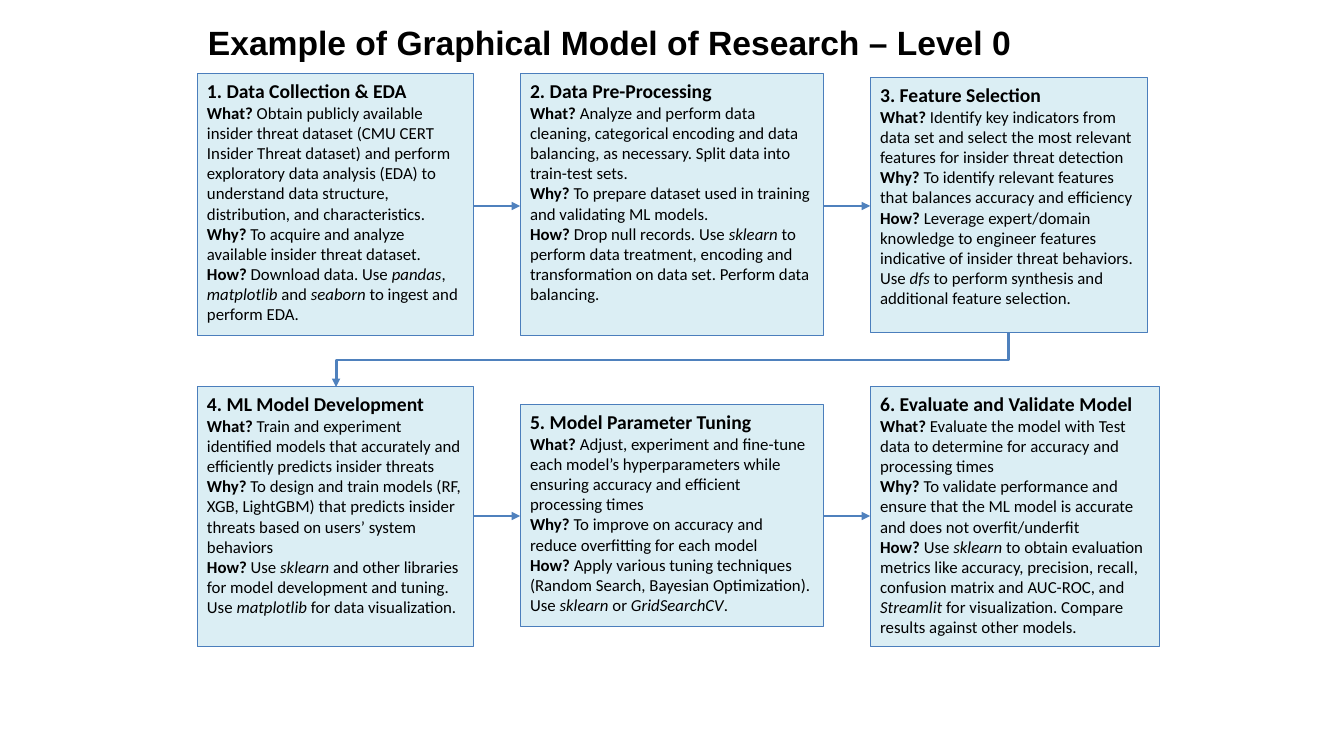
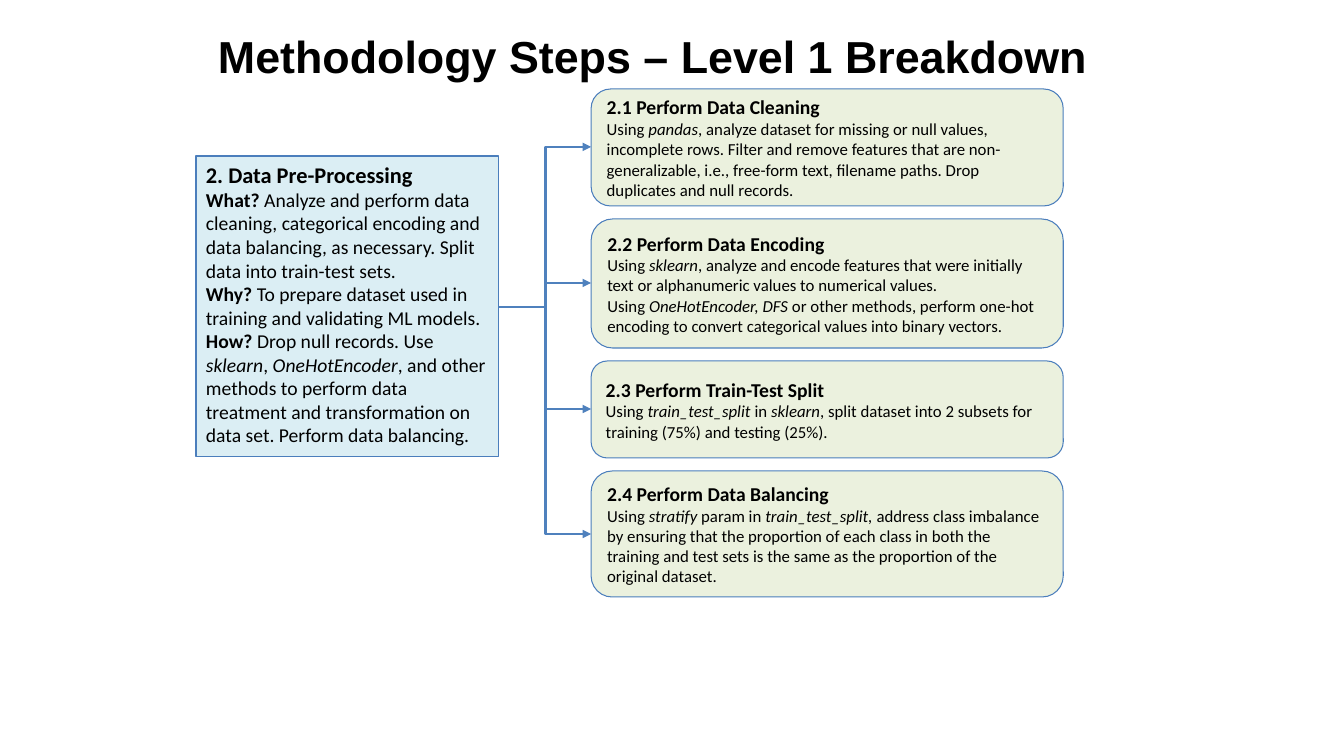
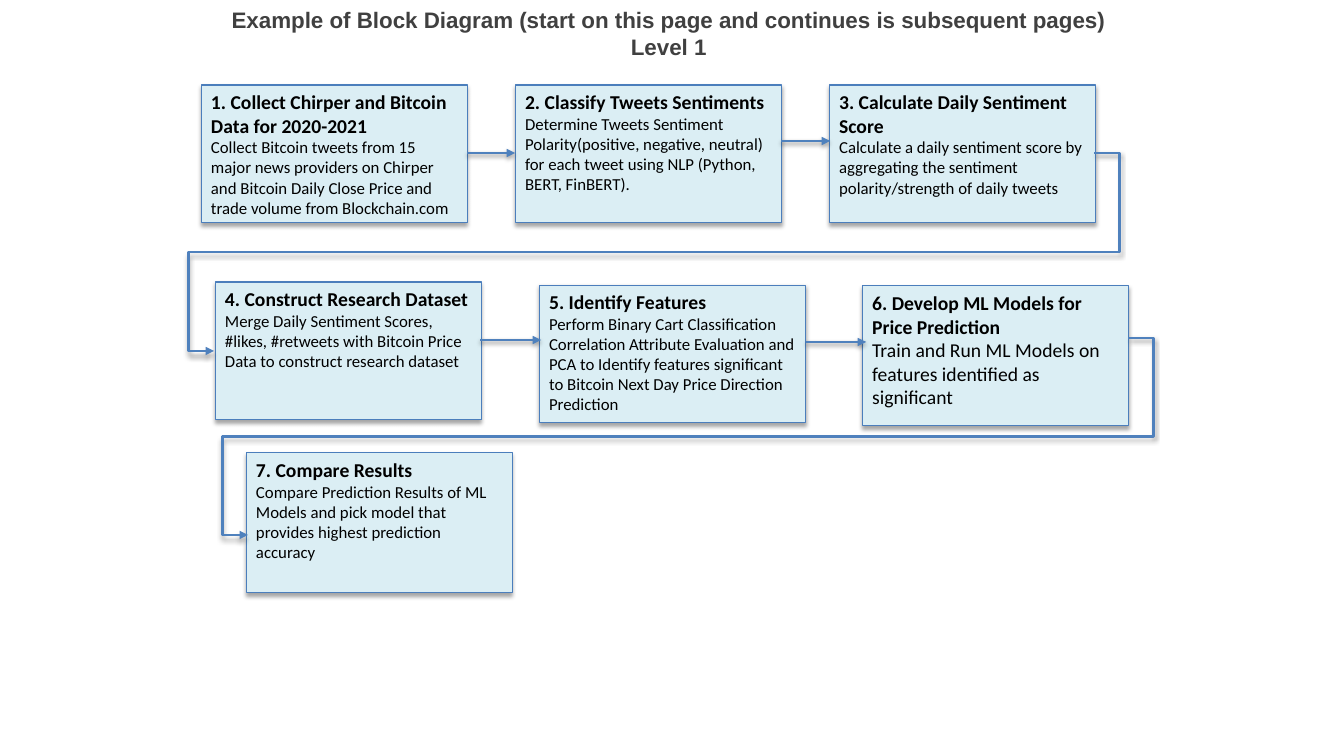
from lxml import etree
from pptx import Presentation, util as u
from pptx.dml.color import RGBColor
from pptx.enum import shapes, text
from pptx.oxml.ns import qn

PX = 914400 / 100.8
COLORS = {"ink": "000000", "heading": "404040", "step": "DBEEF4", "substep": "EBF1DE",
          "border": "4B7EBC", "arrow": "4F81BD", "shadow": "000000"}
RECT = shapes.MSO_SHAPE.RECTANGLE
ROUNDED = shapes.MSO_SHAPE.ROUNDED_RECTANGLE
STRAIGHT = shapes.MSO_CONNECTOR.STRAIGHT
ELBOW = shapes.MSO_CONNECTOR.ELBOW
LEFT, CENTER = text.PP_ALIGN.LEFT, text.PP_ALIGN.CENTER
TOP, MIDDLE = text.MSO_ANCHOR.TOP, text.MSO_ANCHOR.MIDDLE


def add_box(page, place, lines, sizes=(14, 12), kind=RECT, fill="step", anchor=TOP):
    """Draw a box: a bold heading, then lines with a bold question and *italic* words."""
    box = page.shapes.add_shape(kind, *[round(n * PX) for n in place])
    box.shadow.inherit = False
    box.fill.solid()
    box.fill.fore_color.rgb = RGBColor.from_string(COLORS[fill])
    box.line.color.rgb = RGBColor.from_string(COLORS["border"])
    box.line.width = u.Pt(0.75)
    frame = box.text_frame
    frame.word_wrap = True
    frame.vertical_anchor = anchor
    for number, line in enumerate(lines):
        para = frame.add_paragraph() if number else frame.paragraphs[0]
        para.alignment = LEFT
        para.font.name = "Calibri"
        para.font.size = u.Pt(sizes[1] if number else sizes[0])
        para.font.bold = number == 0
        para.font.color.rgb = RGBColor.from_string(COLORS["ink"])
        question, mark, answer = line.rpartition("? ")
        if mark:
            span = para.add_run()
            span.text = question + mark
            span.font.bold = True
        for part, words in enumerate(answer.split("*")):
            if words:
                span = para.add_run()
                span.text = words
                if part % 2:
                    span.font.italic = True


def add_arrow(page, ends, kind=STRAIGHT):
    arrow = page.shapes.add_connector(kind, *[round(n * PX) for n in ends])
    arrow.line.color.rgb = RGBColor.from_string(COLORS["arrow"])
    arrow.line.width = u.Pt(2)
    frame = arrow._element.spPr
    etree.SubElement(frame.find(qn("a:ln")), qn("a:tailEnd"), type="triangle")
    etree.SubElement(frame, qn("a:effectLst"))
    return arrow


deck = Presentation()
deck.slide_width, deck.slide_height = u.Inches(13.33), u.Inches(7.5)

titles = [
    ("Example of Graphical Model of Research – Level 0",
     (198, 13, 855, 37), 24, "ink", LEFT, 9),
    ("Methodology Steps – Level 1 Breakdown",
     (208, 20, 950, 54), 32, "ink", LEFT, 9),
    ("Example of Block Diagram (start on this page and continues is subsequent pages)\vLevel 1",
     (179, 0, 979, 90), 16, "heading", CENTER, 6),
]
pages = []
for words, place, size, color, alignment, inset in titles:
    page = deck.slides.add_slide(deck.slide_layouts[6])
    title = page.shapes.add_textbox(*[round(n * PX) for n in place])
    title.text_frame.word_wrap = True
    title.text_frame.margin_top = round(inset * PX)
    para = title.text_frame.paragraphs[0]
    para.text = words
    para.alignment = alignment
    para.font.name = "Arial"
    para.font.size = u.Pt(size)
    para.font.bold = True
    para.font.color.rgb = RGBColor.from_string(COLORS[color])
    pages.append(page)
research, breakdown, blocks = pages

# Level 0: six research steps
research_steps = [
    ((197, 74, 276, 262), [
        "1. Data Collection & EDA",
        "What? Obtain publicly available insider threat dataset (CMU CERT Insider Threat dataset) "
        "and perform exploratory data analysis (EDA) to understand data structure, distribution, "
        "and characteristics.",
        "Why? To acquire and analyze available insider threat dataset.",
        "How? Download data. Use *pandas*, *matplotlib* and *seaborn* to ingest and perform EDA."]),
    ((520, 74, 303, 262), [
        "2. Data Pre-Processing",
        "What? Analyze and perform data cleaning, categorical encoding and data balancing, "
        "as necessary. Split data into train-test sets.",
        "Why? To prepare dataset used in training and validating ML models.",
        "How? Drop null records. Use *sklearn* to perform data treatment, encoding and "
        "transformation on data set. Perform data balancing."]),
    ((870, 78, 277, 255), [
        "3. Feature Selection",
        "What? Identify key indicators from data set and select the most relevant features "
        "for insider threat detection",
        "Why? To identify relevant features that balances accuracy and efficiency",
        "How? Leverage expert/domain knowledge to engineer features indicative of insider threat "
        "behaviors. Use *dfs* to perform synthesis and additional feature selection."]),
    ((197, 387, 276, 260), [
        "4. ML Model Development",
        "What? Train and experiment identified models that accurately and efficiently predicts "
        "insider threats",
        "Why? To design and train models (RF, XGB, LightGBM) that predicts insider threats "
        "based on users’ system behaviors",
        "How? Use *sklearn* and other libraries for model development and tuning. "
        "Use *matplotlib* for data visualization."]),
    ((520, 405, 303, 222), [
        "5. Model Parameter Tuning",
        "What? Adjust, experiment and fine-tune each model’s hyperparameters while ensuring "
        "accuracy and efficient processing times",
        "Why? To improve on accuracy and reduce overfitting for each model",
        "How? Apply various tuning techniques (Random Search, Bayesian Optimization). "
        "Use *sklearn* or *GridSearchCV*."]),
    ((870, 387, 289, 260), [
        "6. Evaluate and Validate Model",
        "What? Evaluate the model with Test data to determine for accuracy and processing times",
        "Why? To validate performance and ensure that the ML model is accurate and does not "
        "overfit/underfit",
        "How? Use *sklearn* to obtain evaluation metrics like accuracy, precision, recall, "
        "confusion matrix and AUC-ROC, and *Streamlit* for visualization. "
        "Compare results against other models."]),
]
for place, lines in research_steps:
    add_box(research, place, lines)
for y in (206, 516):
    for start, end in ((474, 520), (824, 870)):
        add_arrow(research, (start, y, end, y))
# A quarter turn makes the elbow leave step 3 downwards: (1008, 333) to (336, 387)
row_change = add_arrow(research, (645, 24, 699, 696), ELBOW)
row_change._element.spPr.find(qn("a:xfrm")).set("rot", "5400000")

# Level 1: one step and its substeps
add_box(breakdown, (196, 156, 302, 301), [
    "2. Data Pre-Processing",
    "What? Analyze and perform data cleaning, categorical encoding and data balancing, "
    "as necessary. Split data into train-test sets.",
    "Why? To prepare dataset used in training and validating ML models.",
    "How? Drop null records. Use *sklearn*, *OneHotEncoder*, and other methods to perform data "
    "treatment and transformation on data set. Perform data balancing."], sizes=(16, 14))
substeps = [
    (117, [
        "2.1 Perform Data Cleaning",
        "Using *pandas*, analyze dataset for missing or null values, incomplete rows. Filter and "
        "remove features that are non-generalizable, i.e., free-form text, filename paths. "
        "Drop duplicates and null records."]),
    (129, [
        "2.2 Perform Data Encoding",
        "Using *sklearn*, analyze and encode features that were initially text or alphanumeric "
        "values to numerical values.",
        "Using *OneHotEncoder, DFS *or other methods, perform one-hot encoding to convert "
        "categorical values into binary vectors."]),
    (97, [
        "2.3 Perform Train-Test Split",
        "Using *train_test_split* in *sklearn*, split dataset into 2 subsets for training (75%) "
        "and testing (25%)."]),
    (126, [
        "2.4 Perform Data Balancing",
        "Using *stratify *param in *train_test_split, *address class imbalance by ensuring that "
        "the proportion of each class in both the training and test sets is the same as the "
        "proportion of the original dataset."]),
]
top, gap = 89, 13
for height, lines in substeps:
    add_box(breakdown, (591, top, 472, height), lines,
            kind=ROUNDED, fill="substep", anchor=MIDDLE)
    add_arrow(breakdown, (499, 307, 591, top + height // 2), ELBOW)
    top += height + gap

# Block diagram: seven steps with shadows
block_steps = [
    (201, 85, 138, 12, "1. Collect Chirper and Bitcoin Data for 2020-2021",
     "Collect Bitcoin tweets from 15 major news providers on Chirper and Bitcoin Daily Close "
     "Price and trade volume from Blockchain.com"),
    (515, 85, 138, 12, "2. Classify Tweets Sentiments",
     "Determine Tweets Sentiment Polarity(positive, negative, neutral) for each tweet using NLP "
     "(Python, BERT, FinBERT)."),
    (829, 85, 138, 12, "3. Calculate Daily Sentiment Score",
     "Calculate a daily sentiment score by aggregating the sentiment polarity/strength of "
     "daily tweets"),
    (215, 282, 138, 12, "4. Construct Research Dataset",
     "Merge Daily Sentiment Scores, #likes, #retweets with Bitcoin Price Data to construct "
     "research dataset"),
    (539, 285, 138, 12, "5. Identify Features",
     "Perform Binary Cart Classification Correlation Attribute Evaluation and PCA to Identify "
     "features significant to Bitcoin Next Day Price Direction Prediction"),
    (862, 286, 140, 14, "6. Develop ML Models for Price Prediction",
     "Train and Run ML Models on features identified as significant"),
    (246, 453, 140, 12, "7. Compare Results",
     "Compare Prediction Results of ML Models and pick model that provides highest prediction "
     "accuracy"),
]
for left, top, height, size, *lines in block_steps:
    add_box(blocks, (left, top, 266, height), lines, sizes=(14, size))
for start, end, y in ((467, 515, 153), (781, 830, 141), (480, 541, 340), (806, 866, 342)):
    add_arrow(blocks, (start, y, end, y))
for ends in ((1094, 153, 214, 351), (1128, 338, 248, 535)):
    outline = add_arrow(blocks, ends, ELBOW)._element.spPr.find(qn("a:prstGeom"))
    outline.set("prst", "bentConnector5")
    bends = outline.find(qn("a:avLst"))
    for number, share in enumerate((-2900, 50000, 102900), 1):
        etree.SubElement(bends, qn("a:gd"), name=f"adj{number}", fmla=f"val {share}")
for shape in blocks.shapes:
    effects = shape._element.spPr.find(qn("a:effectLst"))
    if effects is not None:
        shadow = etree.SubElement(effects, qn("a:outerShdw"), blurRad=str(u.Pt(3.1)),
                                  dist=str(u.Pt(1.8)), dir="5400000", rotWithShape="0")
        tint = etree.SubElement(shadow, qn("a:srgbClr"), val=COLORS["shadow"])
        etree.SubElement(tint, qn("a:alpha"), val="35000")

deck.save("out.pptx")
